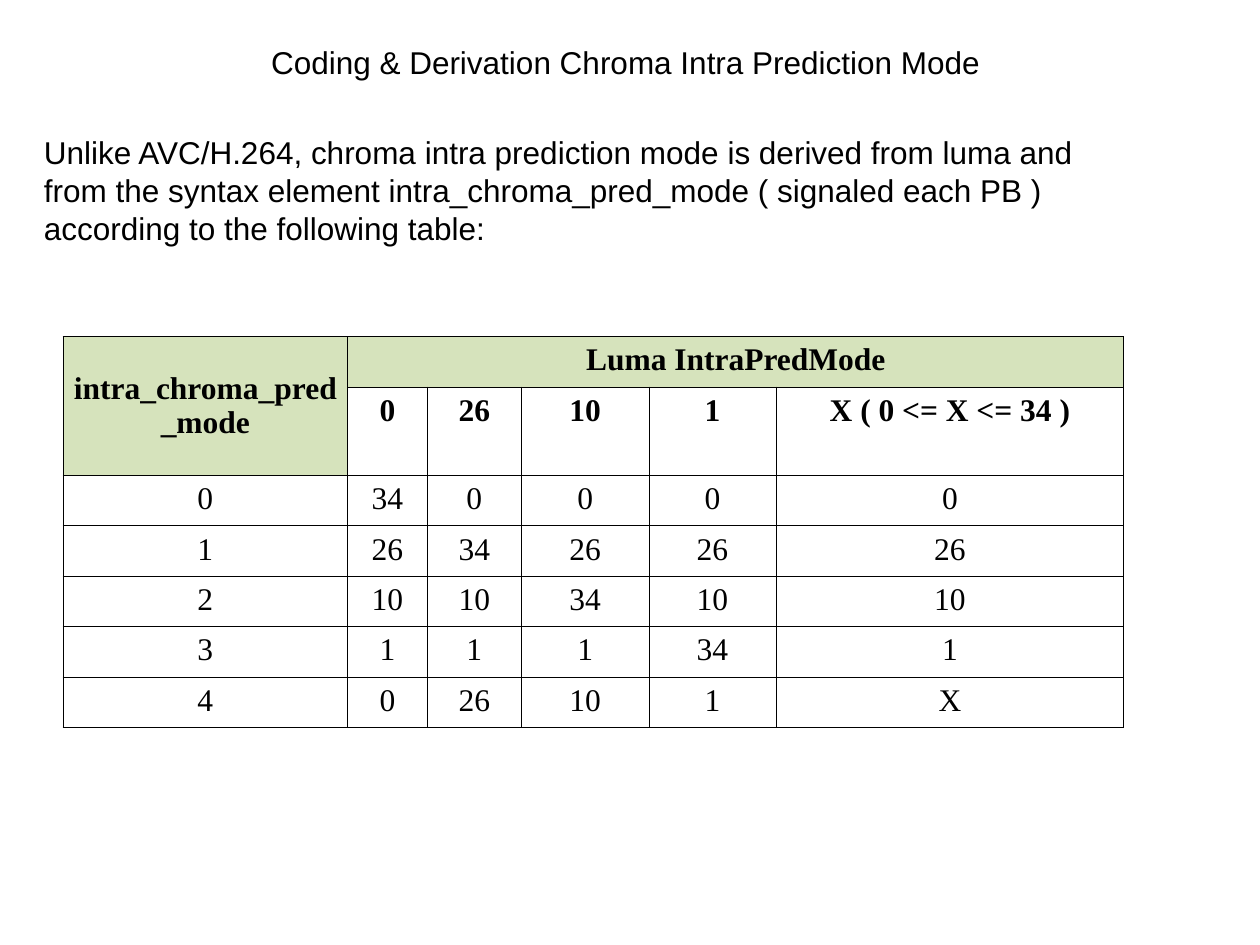
from lxml import etree
from pptx import Presentation
from pptx import util as u
from pptx.dml import color
from pptx.enum import text
from pptx.oxml import ns

BLACK, GREEN = "000000", "D6E3BC"
COLUMN_WIDTHS = [2.26, 0.63, 0.75, 1.01, 1.01, 2.76]
ROW_HEIGHTS = [0.4, 0.7] + [0.4] * 5
LUMA_MODES = ["0", "26", "10", "1", "X ( 0 <= X <= 34 )"]
CHROMA_MODES = [
    ["0", "34", "0", "0", "0", "0"],
    ["1", "26", "34", "26", "26", "26"],
    ["2", "10", "10", "34", "10", "10"],
    ["3", "1", "1", "1", "34", "1"],
    ["4", "0", "26", "10", "1", "X"],
]


def rgb(value):
    return color.RGBColor.from_string(value)


def add_span(para, wording, font="Arial", bold=False):
    span = para.add_run()
    span.text = wording
    span.font.name = font
    span.font.size = u.Pt(18)
    span.font.bold = bold
    span.font.color.rgb = rgb(BLACK)


def place(box, left, top, width, height):
    box.left, box.top = u.Inches(left), u.Inches(top)
    box.width, box.height = u.Inches(width), u.Inches(height)


def add_title(slide, wording):
    box = slide.shapes.title
    place(box, 0.5, 0.08, 9, 0.83)
    box.text_frame.vertical_anchor = text.MSO_ANCHOR.MIDDLE
    para = box.text_frame.paragraphs[0]
    para.alignment = text.PP_ALIGN.CENTER
    add_span(para, wording)


def add_intro(slide, wording):
    box = slide.shapes.add_textbox(0, 0, 0, 0)
    place(box, 0.25, 1.01, 8.75, 1.6)
    box.text_frame.word_wrap = True
    add_span(box.text_frame.paragraphs[0], wording)


def add_borders(cell):
    properties = cell._tc.get_or_add_tcPr()
    for side in ("a:lnL", "a:lnR", "a:lnT", "a:lnB"):
        line = etree.SubElement(properties, ns.qn(side), w=str(u.Pt(0.45)))
        fill = etree.SubElement(line, ns.qn("a:solidFill"))
        etree.SubElement(fill, ns.qn("a:srgbClr"), val=BLACK)


def format_cell(cell, fill=None):
    add_borders(cell)
    cell.margin_left = cell.margin_right = u.Inches(0.08)
    cell.margin_top = cell.margin_bottom = u.Inches(0.05)
    if fill:
        cell.fill.solid()
        cell.fill.fore_color.rgb = rgb(fill)
    else:
        cell.fill.background()


def write_cell(cell, wording, bold=False):
    para = cell.text_frame.paragraphs[0]
    para.alignment = text.PP_ALIGN.CENTER
    para.space_after = u.Pt(3)
    add_span(para, wording, "Times New Roman", bold)


def add_mode_table(slide):
    frame = slide.shapes.add_table(
        len(ROW_HEIGHTS), len(COLUMN_WIDTHS), u.Inches(0.5), u.Inches(2.67),
        u.Inches(sum(COLUMN_WIDTHS)), u.Inches(sum(ROW_HEIGHTS)))
    table = frame.table
    table.first_row = table.horz_banding = False
    for column, width in zip(table.columns, COLUMN_WIDTHS):
        column.width = u.Inches(width)
    for row, height in zip(table.rows, ROW_HEIGHTS):
        row.height = u.Inches(height)

    # Header cells are green: the top row and the first column's second row
    for r in range(len(ROW_HEIGHTS)):
        for c in range(len(COLUMN_WIDTHS)):
            header = r == 0 or (r == 1 and c == 0)
            format_cell(table.cell(r, c), GREEN if header else None)

    # Merged headings
    corner, heading = table.cell(0, 0), table.cell(0, 1)
    corner.merge(table.cell(1, 0))
    heading.merge(table.cell(0, 5))
    corner.vertical_anchor = text.MSO_ANCHOR.MIDDLE
    write_cell(corner, "intra_chroma_pred_mode", bold=True)
    write_cell(heading, "Luma IntraPredMode", bold=True)

    # Luma modes, then the derived chroma modes
    for c, mode in enumerate(LUMA_MODES, start=1):
        write_cell(table.cell(1, c), mode, bold=True)
    for r, modes in enumerate(CHROMA_MODES, start=2):
        for c, mode in enumerate(modes):
            write_cell(table.cell(r, c), mode)


def main():
    deck = Presentation()
    deck.slide_width, deck.slide_height = u.Inches(10), u.Inches(7.5)
    slide = deck.slides.add_slide(deck.slide_layouts[5])
    add_title(slide, "Coding & Derivation Chroma Intra Prediction Mode ")
    add_intro(slide, "Unlike AVC/H.264, chroma intra prediction mode is derived "
                     "from luma and from the syntax element intra_chroma_pred_mode "
                     "( signaled each PB ) according to the following table:")
    add_mode_table(slide)
    deck.save("out.pptx")


if __name__ == "__main__":
    main()
